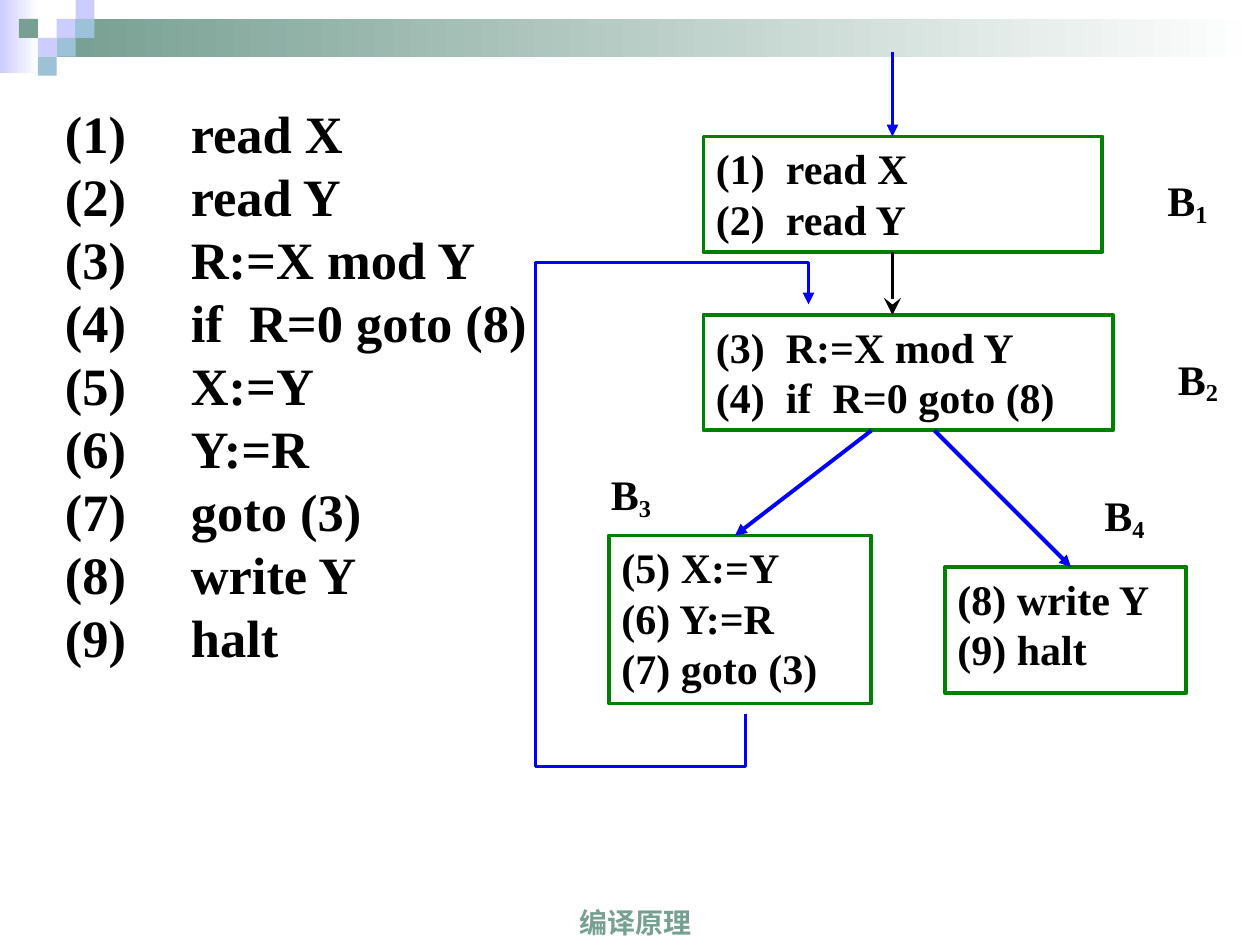
from lxml import etree
from pptx import Presentation
from pptx.dml.color import RGBColor
from pptx.enum.shapes import MSO_CONNECTOR, MSO_SHAPE
from pptx.enum.text import MSO_ANCHOR, PP_ALIGN
from pptx.oxml.ns import qn
from pptx.util import Pt

RECTANGLE = MSO_SHAPE.RECTANGLE
STRAIGHT = MSO_CONNECTOR.STRAIGHT
TOP, BOTTOM = MSO_ANCHOR.TOP, MSO_ANCHOR.BOTTOM
LEFT, CENTER = PP_ALIGN.LEFT, PP_ALIGN.CENTER

THEME = {
    "lavender": "CCCCFF", "sage": "779F92", "sky": "9DC2D7", "white": "FFFFFF",
    "border": "008000", "flow": "0000FF", "ink": "000000",
    "serif": "Times New Roman", "sans": "Arial",
    "program": 30, "block": 24, "footer": 16,
    "thick": 2.25, "thin": 1.25,
}
LEADING = 1.2
CELL = 10.8
NUMBER_TABS = {"program": 72, "block": 40}

PROGRAM = [
    "(1)\tread X", "(2)\tread Y", "(3)\tR:=X mod Y",
    "(4)\tif  R=0 goto (8)", "(5)\tX:=Y", "(6)\tY:=R",
    "(7)\tgoto (3)", "(8)\twrite Y", "(9)\thalt",
]
# Block frame, code lines, label number, label corner
BLOCKS = [
    ((402, 78, 228, 66), ["(1)\tread X", "(2)\tread Y"], "1", (660, 98)),
    ((402, 180, 234, 66), ["(3)\tR:=X mod Y", "(4)\tif  R=0 goto (8)"], "2", (666, 200)),
    ((348, 306, 150, 96), ["(5) X:=Y", "(6) Y:=R", "(7) goto (3)"], "3", (342, 266)),
    ((540, 324, 138, 72), ["(8) write Y", "(9) halt"], "4", (624, 278)),
]
LABEL_SIZE = (49, 38)
# Start, end, colour, weight, arrowhead, arrowhead size
ARROWS = [
    ((510, 30), (510, 78), "flow", "thick", "triangle", "med"),
    ((498, 246), (420, 306), "flow", "thick", "triangle", "med"),
    ((534, 246), (612, 324), "flow", "thick", "triangle", "med"),
    ((510, 144), (510, 180), "ink", "thin", "stealth", "lg"),
]
LOOP_BACK = [(426, 408), (426, 438), (306, 438), (306, 150), (462, 150), (462, 174)]
BANDS = [
    ((0, 0, 22, 42), "lavender"),
    ((3 * CELL, CELL, 720 - 3 * CELL, 2 * CELL), "sage"),
]
# Column, row, colour on the corner mosaic grid
MOSAIC = [
    (3, 1, "lavender"), (4, 0, "lavender"), (4, 1, "sky"), (2, 2, "lavender"),
    (1, 1, "sage"), (3, 2, "sky"), (2, 3, "sky"),
]


def color(name):
    return RGBColor.from_string(THEME[name])


def points(values):
    return [Pt(value) for value in values]


def add_rectangle(page, frame):
    box = page.shapes.add_shape(RECTANGLE, *points(frame))
    box.shadow.inherit = False
    box.line.fill.background()
    return box


def add_corner_design(page):
    for frame, name in BANDS:
        fill = add_rectangle(page, frame).fill
        fill.gradient()
        fill.gradient_angle = 0
        for stop, stop_name, position in zip(fill.gradient_stops, (name, "white"), (0, 1)):
            stop.color.rgb = color(stop_name)
            stop.position = position
    for column, row, name in MOSAIC:
        cell = add_rectangle(page, (column * CELL, row * CELL, CELL, CELL))
        cell.fill.solid()
        cell.fill.fore_color.rgb = color(name)


def add_span(para, text, size, face, ink):
    span = para.add_run()
    span.text = text
    style = {"size": Pt(THEME[size]), "name": THEME[face], "bold": True}
    for name, value in style.items():
        setattr(span.font, name, value)
    span.font.color.rgb = color(ink)
    return span


def write_lines(box, lines, size, face="serif", ink="ink", align=LEFT,
                anchor=TOP, leading=LEADING):
    """Write one paragraph per line, with a tab stop after any line number."""
    frame = box.text_frame
    layout = {"word_wrap": True, "vertical_anchor": anchor}
    for name, value in layout.items():
        setattr(frame, name, value)
    for index, line in enumerate(lines):
        para = frame.paragraphs[0] if index == 0 else frame.add_paragraph()
        para.alignment = align
        if leading:
            para.line_spacing = Pt(leading * THEME[size])
        if "\t" in line:
            tabs = etree.SubElement(para._p.get_or_add_pPr(), qn("a:tabLst"))
            etree.SubElement(tabs, qn("a:tab"), pos=str(Pt(NUMBER_TABS[size])), algn="l")
        add_span(para, line, size, face, ink)
    return frame.paragraphs


def add_text(page, frame, lines, size, **options):
    box = page.shapes.add_textbox(*points(frame))
    return write_lines(box, lines, size, **options)


def add_block(page, frame, lines):
    box = add_rectangle(page, frame)
    box.fill.background()
    box.line.color.rgb = color("border")
    box.line.width = Pt(THEME["thick"])
    write_lines(box, lines, "block")


def add_label(page, number, corner):
    para = add_text(page, (*corner, *LABEL_SIZE), ["B"], "block")[0]
    span = add_span(para, number, "block", "serif", "ink")
    span.font._element.set("baseline", "-16000")


def style_arrow(shape, ink, weight, head, head_size):
    shape.line.color.rgb = color(ink)
    shape.line.width = Pt(THEME[weight])
    etree.SubElement(shape.line._get_or_add_ln(), qn("a:tailEnd"),
                     type=head, w=head_size, len=head_size)


def add_arrow(page, start, end, *style):
    arrow = page.shapes.add_connector(STRAIGHT, *points(start + end))
    style_arrow(arrow, *style)
    etree.SubElement(arrow._element.spPr, qn("a:effectLst"))


def add_loop_back(page):
    builder = page.shapes.build_freeform(*LOOP_BACK[0], scale=Pt(1))
    builder.add_line_segments(LOOP_BACK[1:], close=False)
    loop = builder.convert_to_shape()
    loop.shadow.inherit = False
    loop.fill.background()
    style_arrow(loop, "flow", "thick", "triangle", "med")


def main():
    deck = Presentation()
    deck.slide_width, deck.slide_height = Pt(720), Pt(540)
    page = deck.slides.add_slide(deck.slide_layouts[6])
    add_corner_design(page)
    add_text(page, (235.5, 504, 255, 36), ["编译原理"], "footer", face="sans",
             ink="sage", align=CENTER, anchor=BOTTOM, leading=None)
    add_text(page, (30, 54, 288, 414), PROGRAM, "program")
    for frame, lines, number, corner in BLOCKS:
        add_block(page, frame, lines)
        add_label(page, number, corner)
    for arrow in ARROWS:
        add_arrow(page, *arrow)
    add_loop_back(page)
    deck.save("out.pptx")


if __name__ == "__main__":
    main()
